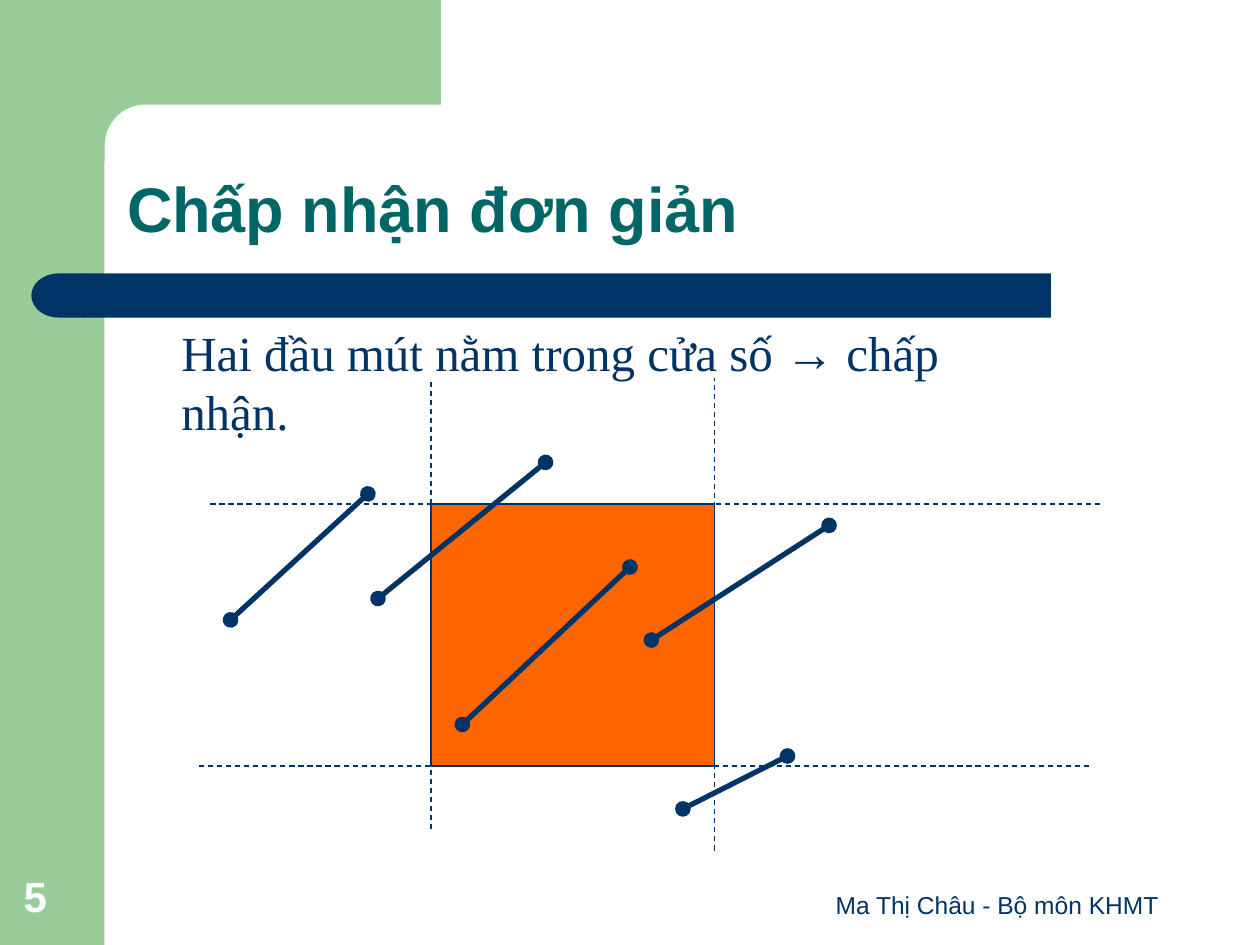
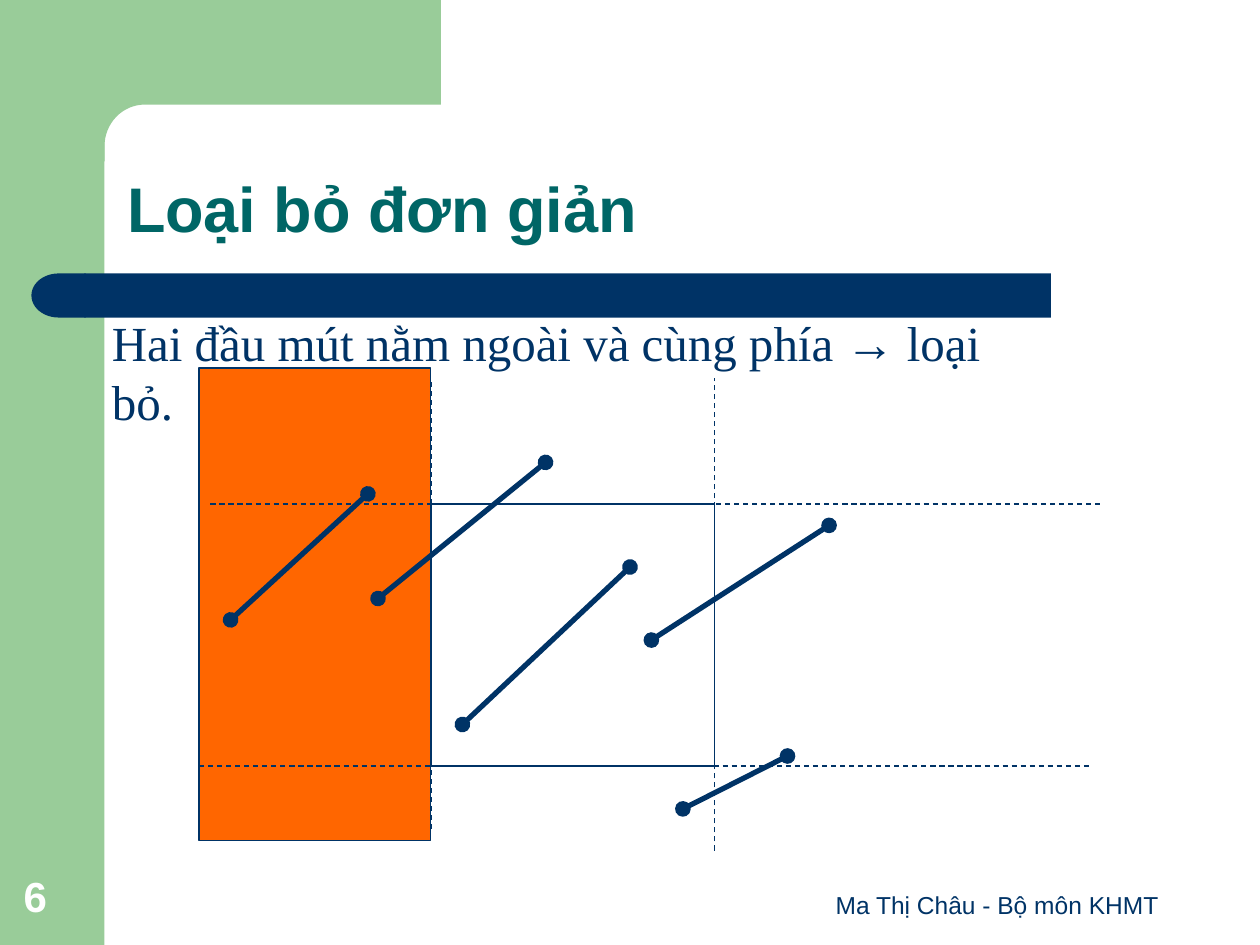
from math import cos, pi, sin

from lxml.etree import SubElement
from pptx import Presentation
from pptx.dml.color import RGBColor
from pptx.enum.dml import MSO_LINE
from pptx.enum.shapes import MSO_CONNECTOR, MSO_SHAPE
from pptx.enum.text import MSO_ANCHOR, PP_ALIGN
from pptx.oxml.ns import qn
from pptx.util import Inches, Pt

COLORS = {
    "navy": "003366",
    "green": "99CC99",
    "teal": "006666",
    "orange": "FF6600",
    "white": "FFFFFF",
}
SANS, SERIF = "Arial", "Times New Roman"
FOOTER = "Ma Thị Châu - Bộ môn KHMT"

LEFT, TOP, RIGHT, BOTTOM = 3.42, 4, 5.67, 6.08
WINDOW = (LEFT, TOP, RIGHT - LEFT, BOTTOM - TOP)
LEFT_REGION = (1.58, 2.92, LEFT - 1.58, 3.75)

SLIDES = [
    {
        "number": "5",
        "title": "Chấp nhận đơn giản",
        "rule": ("Hai đầu mút nằm trong cửa số ", " chấp nhận."),
        "rule_box": (1.34, 2.51, 7.09, 0.57),
        "highlight": WINDOW,
    },
    {
        "number": "6",
        "title": "Loại bỏ đơn giản",
        "rule": ("Hai đầu mút nằm ngoài và cùng phía ", " loại bỏ."),
        "rule_box": (0.79, 2.43, 7.6, 0.57),
        "highlight": LEFT_REGION,
    },
]

SEGMENTS = [
    ((3.67, 5.75), (5, 4.5)),
    ((3, 4.75), (4.33, 3.67)),
    ((5.17, 5.08), (6.58, 4.17)),
    ((1.83, 4.92), (2.92, 3.92)),
    ((5.42, 6.42), (6.25, 6)),
]
BOUNDARIES = [
    ((LEFT, 6.58), (LEFT, 3)),
    ((1.67, TOP), (8.75, TOP)),
    ((1.58, BOTTOM), (8.67, BOTTOM)),
    ((RIGHT, 6.75), (RIGHT, 3)),
]


def color(name):
    return RGBColor.from_string(COLORS[name])


def paint(shape, fill=None, line=None):
    shape.shadow.inherit = False
    if fill:
        shape.fill.solid()
        shape.fill.fore_color.rgb = color(fill)
    else:
        shape.fill.background()
    if line:
        shape.line.color.rgb = color(line)
        shape.line.width = Pt(0.75)
    else:
        shape.line.fill.background()


def add_block(slide, kind, box, fill=None, line=None):
    shape = slide.shapes.add_shape(kind, *map(Inches, box))
    paint(shape, fill, line)
    return shape


def add_text(slide, box, runs, size, fill, bold=False, anchor=MSO_ANCHOR.BOTTOM,
             align=PP_ALIGN.LEFT, spacing=None):
    frame = slide.shapes.add_textbox(*map(Inches, box)).text_frame
    frame.word_wrap = True
    frame.vertical_anchor = anchor
    paragraph = frame.paragraphs[0]
    paragraph.alignment = align
    paragraph.line_spacing = spacing
    for text, font_name in runs:
        run = paragraph.add_run()
        run.text = text
        run.font.name = font_name
        run.font.size = Pt(size)
        run.font.bold = bold
        run.font.color.rgb = color(fill)


def add_line(slide, start, end, width):
    connector = slide.shapes.add_connector(
        MSO_CONNECTOR.STRAIGHT, *map(Inches, start + end))
    connector.line.color.rgb = color("navy")
    connector.line.width = Pt(width)
    SubElement(connector.element.spPr, qn("a:effectLst"))
    return connector


def add_corner(slide):
    center_x, center_y, radius_x, radius_y = 1.15, 1.16, 0.32, 0.33
    steps = 16
    angles = [pi / 2 * step / steps for step in range(steps + 1)]
    arc = [(center_x - radius_x * sin(angle), center_y - radius_y * cos(angle))
           for angle in angles]
    outline = [(3.5, 0.83), *arc, (0.83, 1.28), (0.5, 1.28), (0.5, 0)]
    builder = slide.shapes.build_freeform(Inches(3.5), 0)
    builder.add_line_segments([(Inches(x), Inches(y)) for x, y in outline])
    paint(builder.convert_to_shape(), "green")


def add_frame(slide, title, number):
    add_block(slide, MSO_SHAPE.RECTANGLE, (0, 0, 0.83, 7.5), "green")
    add_corner(slide)
    band = add_block(slide, MSO_SHAPE.ROUNDED_RECTANGLE, (0.67, 2.17, 7.67, 0.35), "navy")
    band.adjustments[0] = 0
    cap = add_block(slide, MSO_SHAPE.FLOWCHART_DELAY, (0.25, 2.17, 0.43, 0.35), "navy")
    cap.element.spPr.xfrm.set("flipH", "1")
    add_text(slide, (6.33, 6.83, 3.17, 0.52), [(FOOTER, SANS)], 14, "navy",
             align=PP_ALIGN.CENTER)
    add_text(slide, (0.09, 6.83, 0.64, 0.53), [(number, SANS)], 24, "white", bold=True)
    add_text(slide, (0.91, 0.91, 8.51, 1.09), [(title, SANS)], 36, "teal", bold=True,
             spacing=0.9)


def add_clipping_figure(slide, highlight):
    add_block(slide, MSO_SHAPE.RECTANGLE, highlight, "orange", "navy")
    add_block(slide, MSO_SHAPE.RECTANGLE, WINDOW, line="navy")
    for start, end in SEGMENTS:
        segment = add_line(slide, start, end, 3)
        for tag in ("a:headEnd", "a:tailEnd"):
            SubElement(segment.line._get_or_add_ln(), qn(tag), type="oval")
    for start, end in BOUNDARIES:
        add_line(slide, start, end, 0.75).line.dash_style = MSO_LINE.DASH


def main():
    presentation = Presentation()
    presentation.slide_width = Inches(10)
    presentation.slide_height = Inches(7.5)
    for content in SLIDES:
        slide = presentation.slides.add_slide(presentation.slide_layouts[6])
        add_frame(slide, content["title"], content["number"])
        condition, outcome = content["rule"]
        add_text(slide, content["rule_box"],
                 [(condition, SERIF), ("→", SANS), (outcome, SERIF)],
                 28, "navy", anchor=MSO_ANCHOR.TOP)
        add_clipping_figure(slide, content["highlight"])
    presentation.save("out.pptx")


if __name__ == "__main__":
    main()
